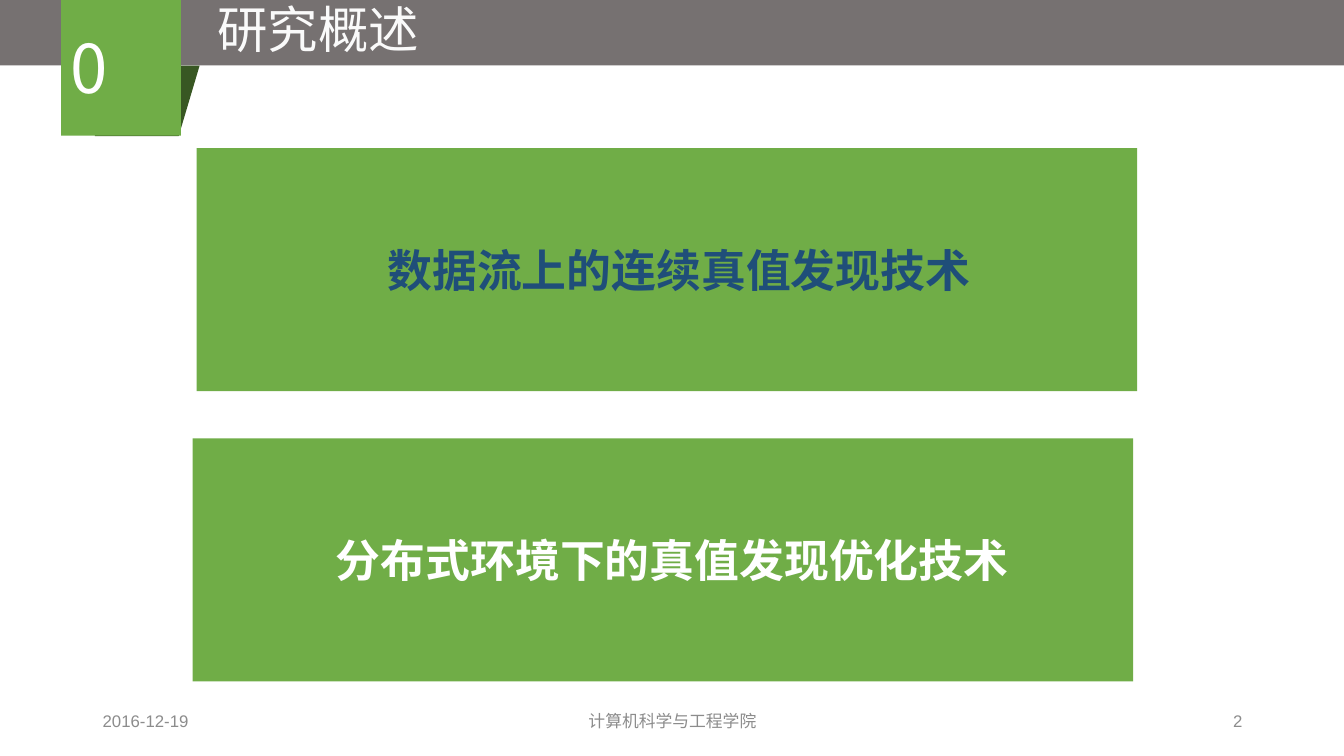
from pptx import Presentation
from pptx.dml.color import RGBColor
from pptx.enum.shapes import MSO_SHAPE
from pptx.enum.text import MSO_ANCHOR, MSO_AUTO_SIZE, PP_ALIGN
from pptx.oxml.ns import qn
from pptx.util import Inches, Pt
from lxml import etree

THEME = {
    "sans": "Noto Sans CJK SC", "latin": "Arial",
    "bar": "767171", "green": "70AD47", "fold": "385723",
    "title": "FAFAFA", "navy": "1F4E79", "white": "FFFFFF", "foot": "8C8C8C",
    "title_size": 36, "topic_size": 32, "number_size": 48, "foot_size": 12,
}

TITLE = "研究概述"
NUMBER = "0"
# text, colour, panel left and top, text left, top and width
TOPICS = [
    ("数据流上的连续真值发现技术", "navy", (1.95, 1.47), (3.04, 2.36, 7.39)),
    ("分布式环境下的真值发现优化技术", "white", (1.91, 4.35), (2.4, 5.24, 8.54)),
]
PANEL = (9.33, 2.41)
FOOTER = [
    ("2016-12-19", 0.92, 3, PP_ALIGN.LEFT),
    ("计算机科学与工程学院", 4.42, 4.5, PP_ALIGN.CENTER),
    ("2", 9.42, 3, PP_ALIGN.RIGHT),
]


def add_block(slide, kind, box, color, turn=0):
    shape = slide.shapes.add_shape(kind, *map(Inches, box))
    shape.shadow.inherit = False
    shape.fill.solid()
    shape.fill.fore_color.rgb = RGBColor.from_string(THEME[color])
    shape.line.fill.background()
    shape.rotation = turn
    return shape


def set_text(frame, text, size, color, face="sans", align=PP_ALIGN.CENTER, bold=False):
    frame.text = text
    line = frame.paragraphs[0]
    line.alignment = align
    run = line.runs[0]
    run.font.size = Pt(THEME[size])
    run.font.bold = bold
    run.font.color.rgb = RGBColor.from_string(THEME[color])
    run.font.name = THEME[face]
    # Chinese glyphs take their face from a:ea
    east = etree.SubElement(run.font._element, qn("a:ea"))
    east.set("typeface", THEME["sans"])


def add_label(slide, box, text, size, color, grow=True, **style):
    frame = slide.shapes.add_textbox(*map(Inches, box)).text_frame
    frame.word_wrap = True
    if grow:
        frame.auto_size = MSO_AUTO_SIZE.SHAPE_TO_FIT_TEXT
    else:
        frame.vertical_anchor = MSO_ANCHOR.MIDDLE
    set_text(frame, text, size, color, **style)


def add_tab(slide):
    """Folded green tab with the section number."""
    add_block(slide, MSO_SHAPE.FLOWCHART_DATA, (0.94, 0.65, 1.04, 0.7), "fold", 180)
    tab = add_block(slide, MSO_SHAPE.RECTANGLE, (0.52, 0.07, 1.36, 1.19), "green", 270)
    frame = tab.text_frame
    frame.vertical_anchor = MSO_ANCHOR.MIDDLE
    frame._txBody.bodyPr.set("vert", "eaVert")
    set_text(frame, NUMBER, "number_size", "white")


def main():
    deck = Presentation()
    deck.slide_width, deck.slide_height = Inches(13.33), Inches(7.5)
    slide = deck.slides.add_slide(deck.slide_layouts[6])

    add_block(slide, MSO_SHAPE.RECTANGLE, (0, -0.01, 13.33, 0.66), "bar")
    add_label(slide, (1.45, -0.07, 3.41, 0.71), TITLE, "title_size", "title")
    for text, color, spot, (left, top, width) in TOPICS:
        add_block(slide, MSO_SHAPE.RECTANGLE, spot + PANEL, "green")
        add_label(slide, (left, top, width, 0.64), text, "topic_size", color, bold=True)
    add_tab(slide)
    for text, left, width, align in FOOTER:
        add_label(slide, (left, 6.95, width, 0.4), text, "foot_size", "foot",
                  grow=False, face="latin", align=align)

    deck.save("out.pptx")


if __name__ == "__main__":
    main()
